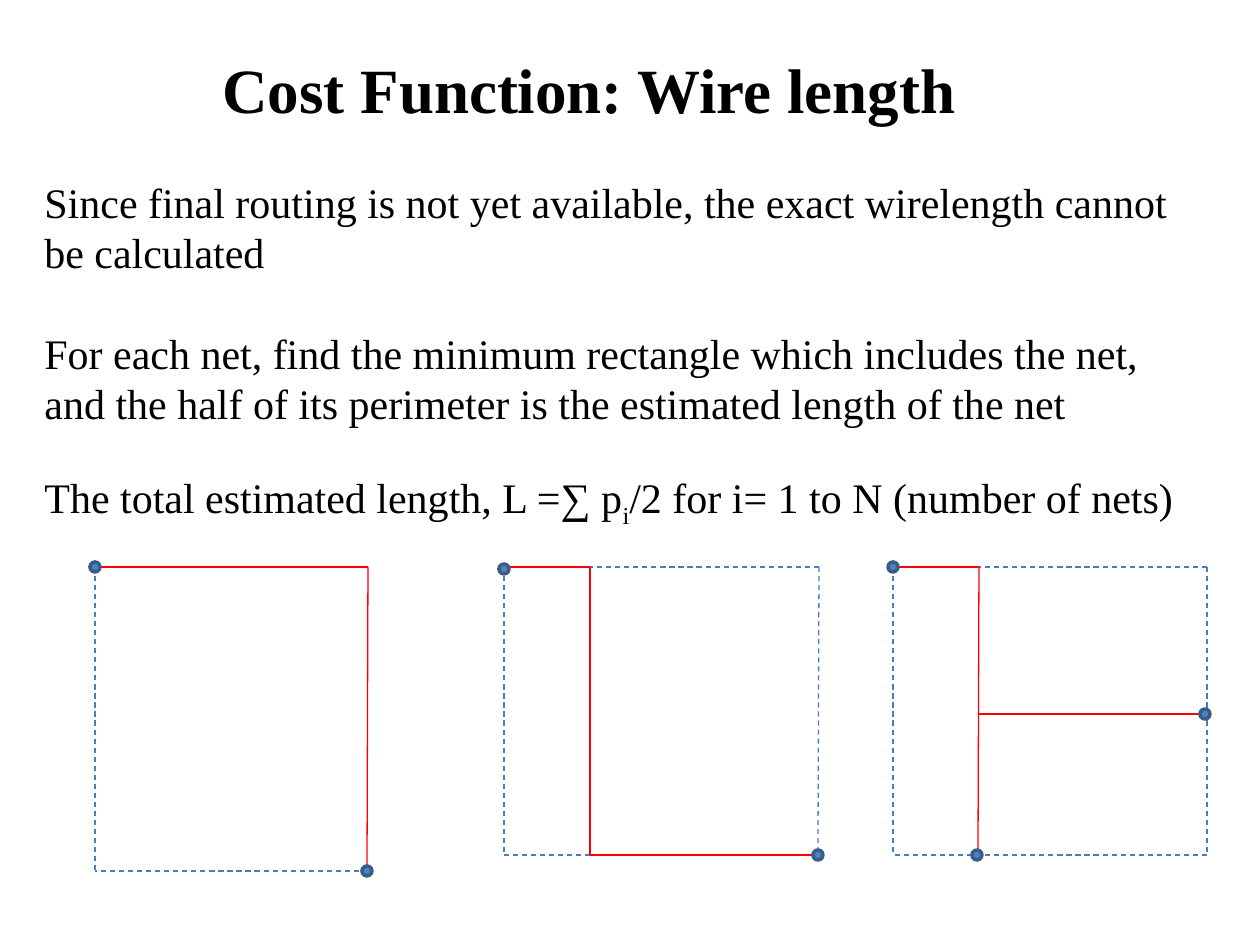
from lxml import etree
from pptx import Presentation
from pptx.dml.color import RGBColor
from pptx.enum.dml import MSO_LINE
from pptx.enum.shapes import MSO_CONNECTOR, MSO_SHAPE
from pptx.oxml.ns import qn
from pptx.util import Pt

PX = 914400 / 126
FONT = "Times New Roman"
BLACK = RGBColor(0, 0, 0)
RED = RGBColor(0xFF, 0, 0)
BLUE = RGBColor(0x4A, 0x7E, 0xBB)
FILL = RGBColor(0x4F, 0x81, 0xBD)
EDGE = RGBColor(0x38, 0x5D, 0x8A)
DASH = MSO_LINE.DASH
LINE = MSO_CONNECTOR.STRAIGHT
OVAL = MSO_SHAPE.OVAL


def emu(*vals):
    return [round(v * PX) for v in vals]


def add_text(box, paras, size, bold, gap):
    frame = slide.shapes.add_textbox(*emu(*box)).text_frame
    frame.word_wrap = True
    for i, text in enumerate(paras):
        para = frame.paragraphs[0] if i == 0 else frame.add_paragraph()
        para.line_spacing = Pt(size * 1.2)
        if i:
            para.space_before = Pt(gap)
        # An underscore sets off the subscript
        for j, part in enumerate(text.split("_")):
            run = para.add_run()
            run.text = part
            font = run.font
            font.name, font.size, font.bold = FONT, Pt(size), bold
            font.color.rgb = BLACK
            if j == 1:
                font._element.set("baseline", "-25000")


prs = Presentation()
prs.slide_width, prs.slide_height = emu(1260, 945)
slide = prs.slides.add_slide(prs.slide_layouts[6])

# Title and body
add_text((210, 44, 861, 88), ["Cost Function: Wire length"], 36, True, 0)
add_text((32, 170, 1166, 373), [
    "Since final routing is not yet available, the exact wirelength cannot be calculated",
    "For each net, find the minimum rectangle which includes the net, "
    "and the half of its perimeter is the estimated length of the net",
    "The total estimated length, L =∑ p_i_/2 for i= 1 to N (number of nets)",
], 24, False, 28.8)

# Nets: grouped or not, red wires, dashed box sides, pins
top, low, mid = 567, 855, 714
nets = [
    (True,
     [(95, top, 368, top), (368, top, 367, 871)],
     [(95, top, 95, 871), (368, 871, 95, 871)],
     [(95, top), (367, 871)]),
    (True,
     [(504, top, 590, top), (590, top, 590, low), (590, low, 819, low)],
     [(819, top, 818, low), (504, top, 504, low),
      (590, low, 504, low), (819, top, 590, top)],
     [(504, 569), (818, low)]),
    (False,
     [(893, top, 979, top), (979, top, 978, low), (979, mid, 1207, mid)],
     [(1207, top, 1207, low), (893, top, 893, low),
      (1207, low, 893, low), (1207, top, 979, top)],
     [(977, low), (1205, mid), (893, top)]),
]
for joined, wires, sides, pins in nets:
    shapes = slide.shapes
    if joined:
        shapes = shapes.add_group_shape().shapes
    for ends, color in [(s, BLUE) for s in sides] + [(w, RED) for w in wires]:
        line = shapes.add_connector(LINE, *emu(*ends))
        line.line.color.rgb = color
        line.line.width = Pt(0.75)
        if color == BLUE:
            line.line.dash_style = DASH
        etree.SubElement(line._element.spPr, qn("a:effectLst"))
    for x, y in pins:
        pin = slide.shapes.add_shape(OVAL, *emu(x - 5, y - 5, 10, 10))
        pin.shadow.inherit = False
        pin.fill.solid()
        pin.fill.fore_color.rgb = FILL
        pin.line.color.rgb = EDGE
        pin.line.width = Pt(2)

prs.save("out.pptx")
